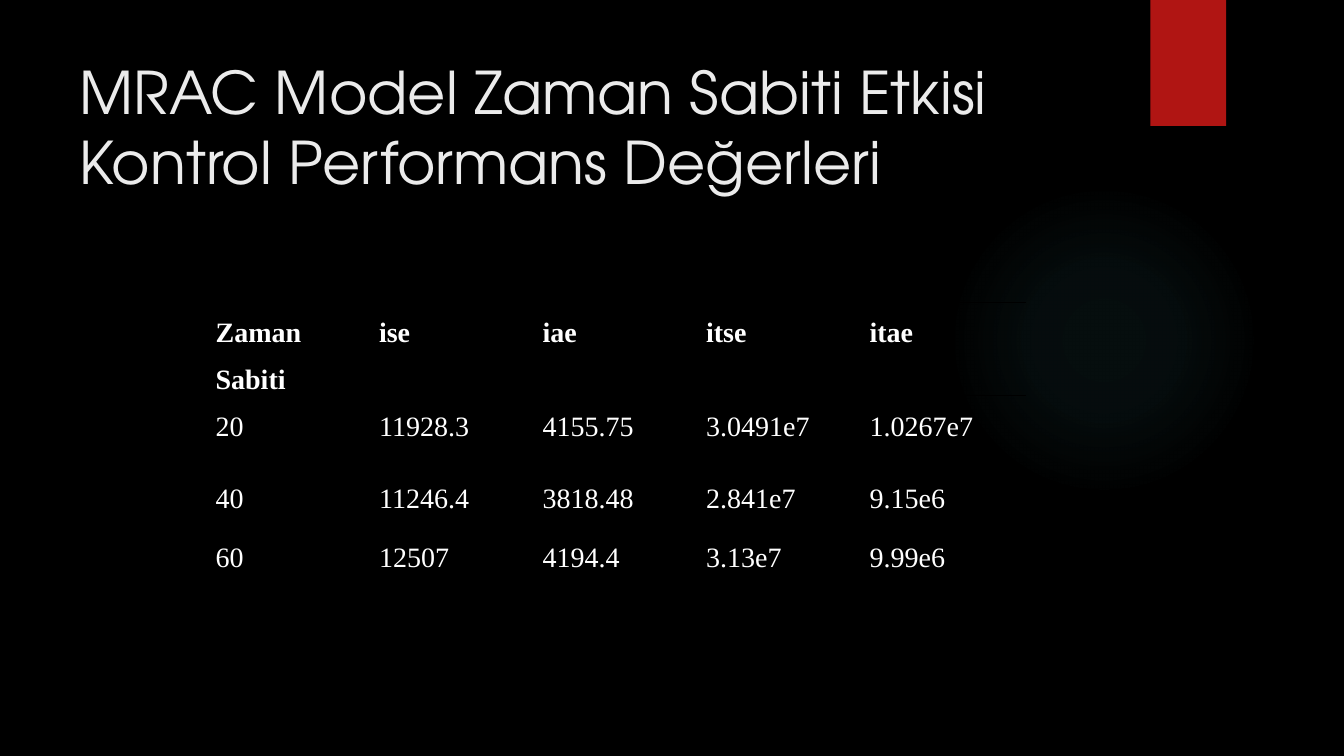
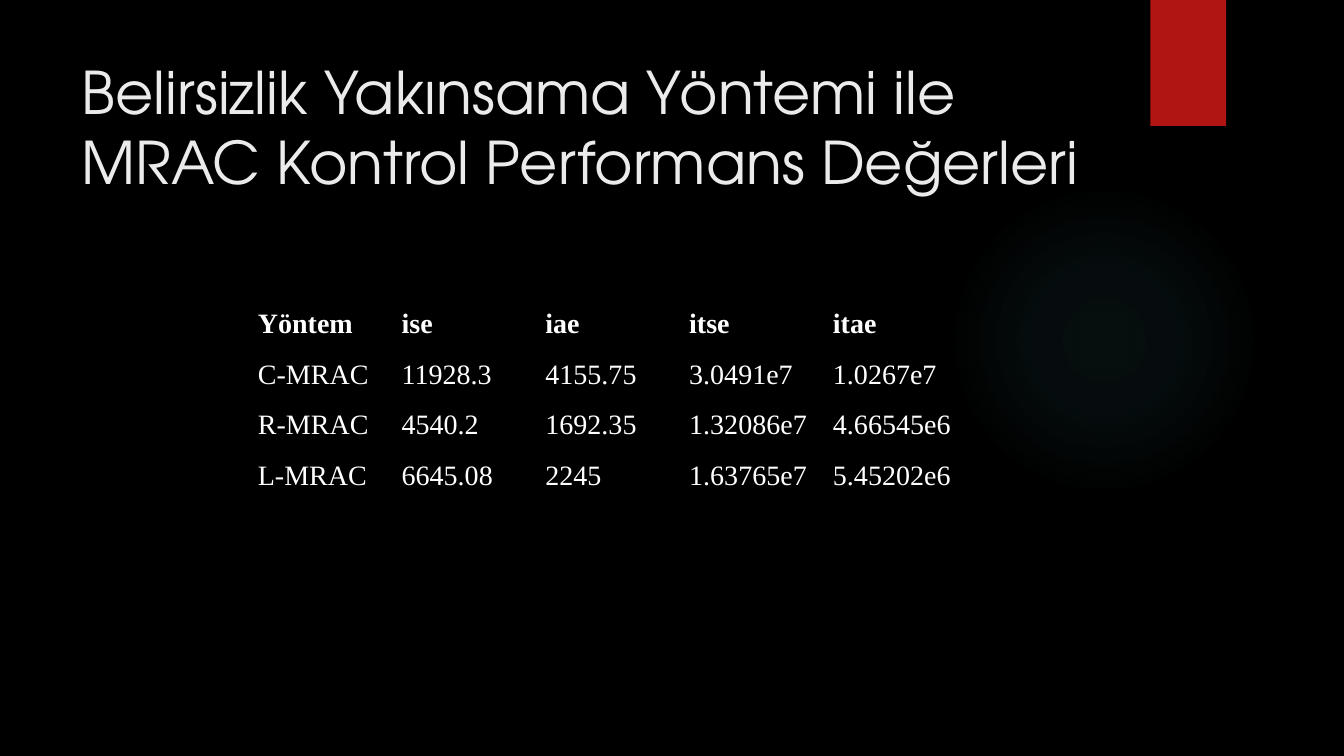
from dataclasses import dataclass

from lxml import etree
from pptx import Presentation
from pptx.dml.color import RGBColor
from pptx.enum import shapes, text
from pptx.oxml import ns
from pptx.util import Pt


@dataclass(frozen=True)
class Theme:
    background: str = "000000"
    ribbon: str = "B01513"
    glow: str = "50B9C1"
    title: str = "EBEBEB"
    body: str = "FFFFFF"
    rule: str = "000000"
    title_font: str = "TeX Gyre Adventor"
    body_font: str = "Times New Roman"
    title_size: int = 42
    body_size: int = 20


THEME = Theme()
PLAIN_TABLE_STYLE = "{2D5ABB26-0587-4C30-8999-92F81FD0307C}"
A = f'xmlns:a="{ns.nsuri("a")}"'

TABLES = [
    dict(
        title="MRAC Model Zaman Sabiti Etkisi Kontrol Performans Değerleri",
        title_left=49.7, left=149, top=216, column_width=116.8,
        heights=[42, 52, 42, 42],
        rows=[
            ["Zaman Sabiti", "ise", "iae", "itse", "itae"],
            ["20", "11928.3", "4155.75", "3.0491e7", "1.0267e7"],
            ["40", "11246.4", "3818.48", "2.841e7", "9.15e6"],
            ["60", "12507", "4194.4", "3.13e7", "9.99e6"],
        ],
    ),
    dict(
        title="Belirsizlik Yakınsama Yöntemi ile MRAC Kontrol Performans Değerleri",
        title_left=51.1, left=179.2, top=209.5, column_width=102.7,
        heights=[36, 36, 36, 76],
        rows=[
            ["Yöntem", "ise", "iae", "itse", "itae"],
            ["C-MRAC", "11928.3", "4155.75", "3.0491e7", "1.0267e7"],
            ["R-MRAC", "4540.2", "1692.35", "1.32086e7", "4.66545e6"],
            ["L-MRAC", "6645.08", "2245", "1.63765e7", "5.45202e6"],
        ],
    ),
]


def apply_format(target, values, color=None):
    for name, value in values.items():
        setattr(target, name, value)
    if color:
        target.color.rgb = RGBColor.from_string(color)


def add_rule(cell, side):
    """Draw a 1 pt border on one side: T for top, B for bottom."""
    cell_format = cell._tc.get_or_add_tcPr()
    cell_format.append(etree.fromstring(
        f'<a:ln{side} {A} w="{Pt(1)}"><a:solidFill>'
        f'<a:srgbClr val="{THEME.rule}"/></a:solidFill></a:ln{side}>'))


prs = Presentation()
prs.slide_width, prs.slide_height = Pt(960), Pt(540)
master = prs.slide_master
master.background.fill.solid()
master.background.fill.fore_color.rgb = RGBColor.from_string(THEME.background)
slides = [prs.slides.add_slide(prs.slide_layouts[5]) for _ in TABLES]

# Decoration is drawn once and moved to the master, behind its placeholders.
draw = slides[0].shapes.add_shape
glow = draw(shapes.MSO_SHAPE.OVAL, Pt(677.5), Pt(131.8), Pt(221.8), Pt(221.8))
ribbon = draw(shapes.MSO_SHAPE.RECTANGLE, Pt(821.8), 0, Pt(54), Pt(90))
for position, decoration in enumerate([glow, ribbon], start=2):
    decoration.shadow.inherit = False
    decoration.line.fill.background()
    master.shapes.element.insert(position, decoration.element)
ribbon.fill.solid()
ribbon.fill.fore_color.rgb = RGBColor.from_string(THEME.ribbon)

stops = "".join(
    f'<a:gs pos="{position * 1000}"><a:srgbClr val="{THEME.glow}">'
    f'<a:alpha val="{opacity * 1000}"/></a:srgbClr></a:gs>'
    for position, opacity in [(0, 7), (36, 6), (69, 0)])
glow.element.spPr.find(ns.qn("a:prstGeom")).addnext(etree.fromstring(
    f'<a:gradFill {A}><a:gsLst>{stops}</a:gsLst><a:path path="circle">'
    '<a:fillToRect l="50000" t="50000" r="50000" b="50000"/></a:path></a:gradFill>'))

for slide, content in zip(slides, TABLES):
    title = slide.shapes.title
    apply_format(title, dict(left=Pt(content["title_left"]), top=Pt(36),
                             width=Pt(741), height=Pt(110)))
    title.text_frame.text = content["title"]
    apply_format(title.text_frame, dict(
        word_wrap=True, auto_size=text.MSO_AUTO_SIZE.NONE,
        vertical_anchor=text.MSO_ANCHOR.TOP))
    heading = title.text_frame.paragraphs[0]
    heading.alignment = text.PP_ALIGN.LEFT
    apply_format(heading.runs[0].font,
                 dict(name=THEME.title_font, size=Pt(THEME.title_size)), THEME.title)

    rows, heights = content["rows"], content["heights"]
    columns = len(rows[0])
    table = slide.shapes.add_table(
        len(rows), columns, Pt(content["left"]), Pt(content["top"]),
        Pt(content["column_width"] * columns), Pt(sum(heights))).table
    table._tbl.tblPr.find(ns.qn("a:tableStyleId")).text = PLAIN_TABLE_STYLE
    apply_format(table, dict(first_row=False, horz_banding=False))
    for column in table.columns:
        column.width = Pt(content["column_width"])

    for row_index, (row, height) in enumerate(zip(rows, heights)):
        table.rows[row_index].height = Pt(height)
        for column_index, value in enumerate(row):
            cell = table.cell(row_index, column_index)
            cell.text = value
            apply_format(cell, dict(margin_left=Pt(5), margin_right=Pt(5),
                                    margin_top=0, margin_bottom=0))
            for side in {0: "TB", 1: "T"}.get(row_index, ""):
                add_rule(cell, side)
            cell.fill.background()
            entry = cell.text_frame.paragraphs[0]
            apply_format(entry, dict(alignment=text.PP_ALIGN.JUSTIFY,
                                     line_spacing=1.5, space_after=Pt(8)))
            apply_format(entry.runs[0].font, dict(
                name=THEME.body_font, size=Pt(THEME.body_size),
                bold=row_index == 0), THEME.body)

prs.save("out.pptx")
